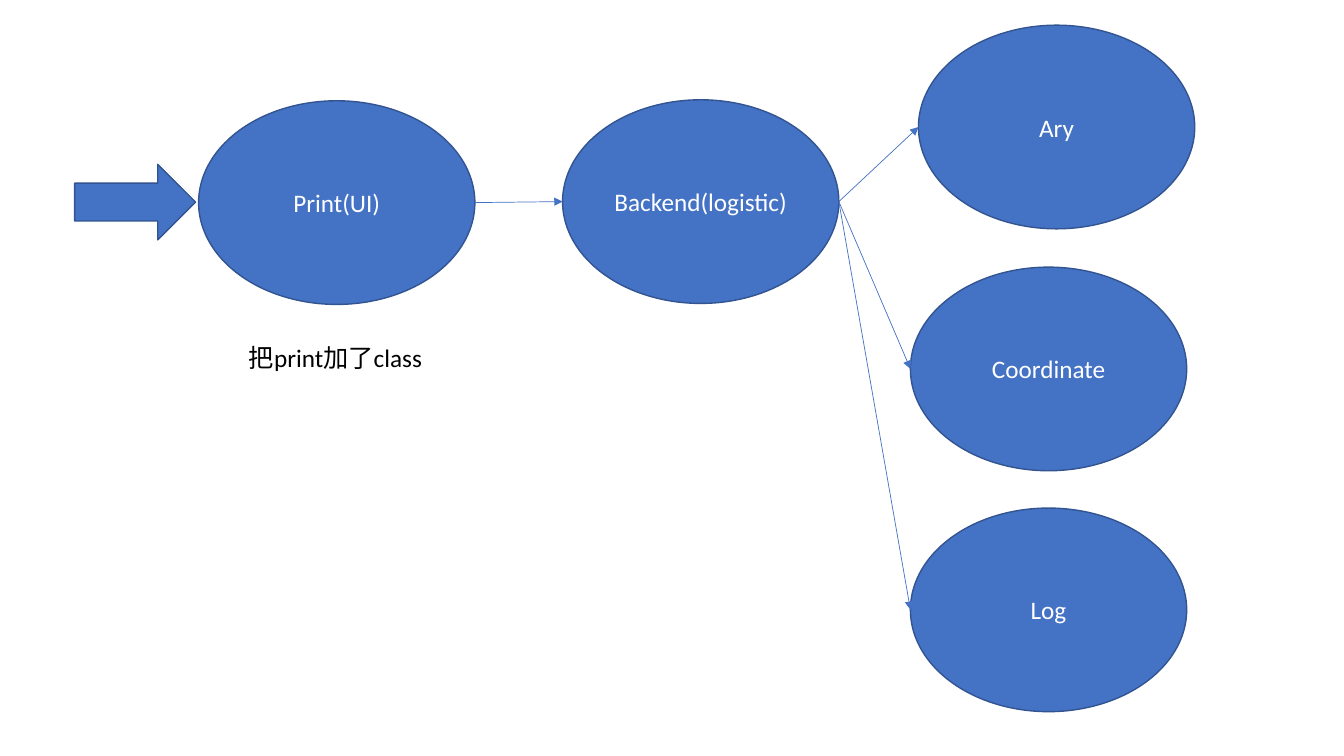
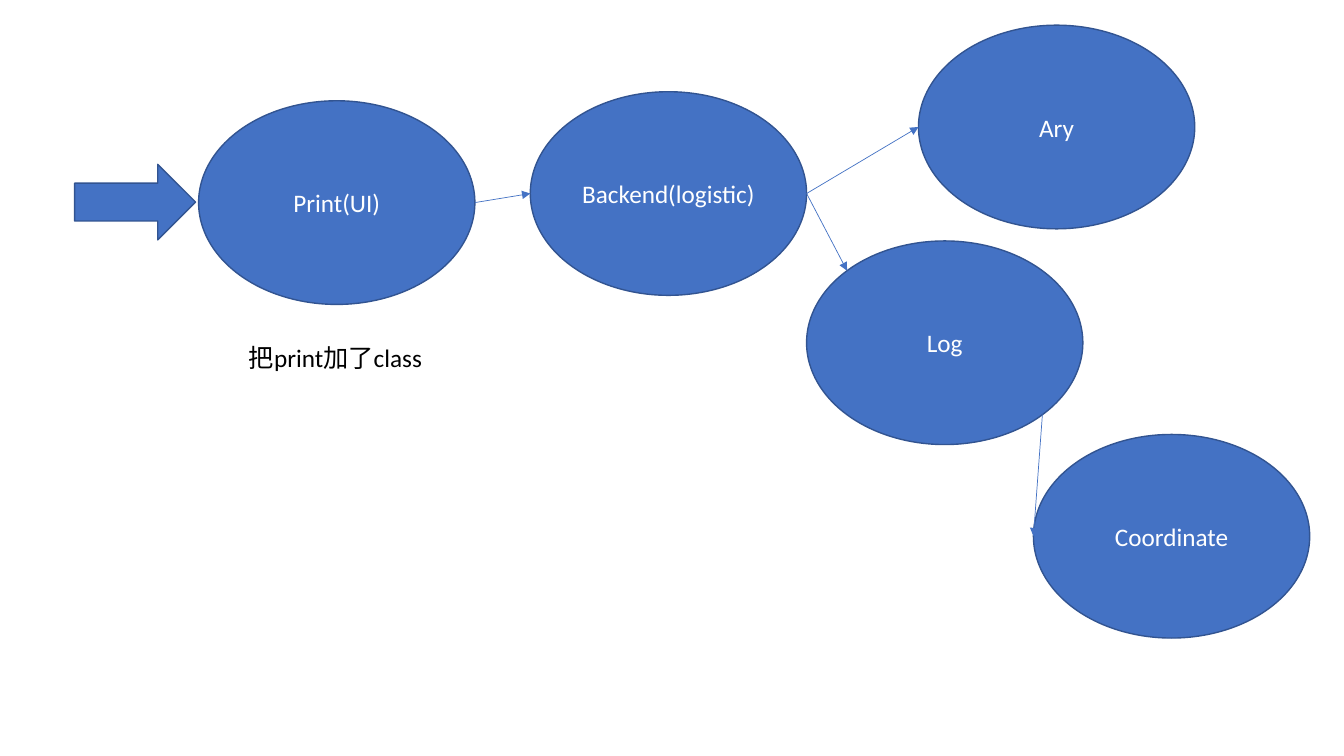
from math import sqrt

from pptx import Presentation
from pptx.dml.color import RGBColor
from pptx.enum.shapes import MSO_CONNECTOR, MSO_SHAPE
from pptx.enum.text import MSO_ANCHOR, MSO_AUTO_SIZE, PP_ALIGN
from pptx.oxml.ns import qn
from pptx.util import Inches, Pt
from lxml.etree import SubElement

BLUE = RGBColor(0x44, 0x72, 0xC4)
OUTLINE = RGBColor(0x32, 0x54, 0x91)
WHITE = RGBColor(0xFF, 0xFF, 0xFF)
BLACK = RGBColor(0x00, 0x00, 0x00)
FONT, SIZE = "Calibri", Pt(18)
NODE_W, NODE_H = 2.74, 2.02

# Content shared by the slides
NOTE = "把print加了class"
SHARED_NODES = {"Print(UI)": (1.97, 1), "Ary": (9.11, 0.25)}
SHARED_LINKS = [
    ("Print(UI)", "right", "Backend(logistic)", "left"),
    ("Backend(logistic)", "right", "Ary", "left"),
]

# Content of each slide: nodes (left, top) and links (node, side, node, side)
SLIDES = [
    {
        "nodes": {
            "Backend(logistic)": (5.58, 0.99),
            "Coordinate": (9.03, 2.65),
            "Log": (9.03, 5.04),
        },
        "links": [
            ("Backend(logistic)", "right", "Coordinate", "left"),
            ("Backend(logistic)", "right", "Log", "left"),
        ],
    },
    {
        "nodes": {
            "Backend(logistic)": (5.26, 0.91),
            "Coordinate": (10.25, 4.31),
            "Log": (8, 2.39),
        },
        "links": [
            ("Log", "bottom right", "Coordinate", "left"),
            ("Backend(logistic)", "right", "Log", "top left"),
        ],
    },
]

# Points on an ellipse, in half-widths and half-heights from its centre
DIAGONAL = 1 / sqrt(2)
SIDES = {
    "left": (-1, 0),
    "right": (1, 0),
    "top left": (-DIAGONAL, -DIAGONAL),
    "bottom right": (DIAGONAL, DIAGONAL),
}


def add_text(tf, text, color):
    tf.word_wrap = True
    p = tf.paragraphs[0]
    p.text = text
    p.font.name, p.font.size, p.font.color.rgb = FONT, SIZE, color
    return p


def add_block(s, kind, left, top, width, height):
    sp = s.shapes.add_shape(
        kind, Inches(left), Inches(top), Inches(width), Inches(height))
    sp.shadow.inherit = False
    sp.fill.solid()
    sp.fill.fore_color.rgb = BLUE
    sp.line.color.rgb = OUTLINE
    sp.line.width = Pt(1)
    return sp


def add_node(s, text, left, top):
    sp = add_block(s, MSO_SHAPE.OVAL, left, top, NODE_W, NODE_H)
    tf = sp.text_frame
    tf.vertical_anchor = MSO_ANCHOR.MIDDLE
    add_text(tf, text, WHITE).alignment = PP_ALIGN.CENTER


def edge_point(corner, side):
    dx, dy = SIDES[side]
    left, top = corner
    return (Inches(left + NODE_W / 2 * (1 + dx)),
            Inches(top + NODE_H / 2 * (1 + dy)))


def add_link(s, start, end):
    cxn = s.shapes.add_connector(MSO_CONNECTOR.STRAIGHT, *start, *end)
    cxn.line.color.rgb = BLUE
    cxn.line.width = Pt(0.5)
    SubElement(cxn.line._get_or_add_ln(), qn("a:tailEnd"), type="triangle")
    SubElement(cxn._element.spPr, qn("a:effectLst"))


def add_note(s):
    box = s.shapes.add_textbox(
        Inches(2.37), Inches(3.35), Inches(1.94), Inches(0.4))
    add_text(box.text_frame, NOTE, BLACK)
    box.text_frame.auto_size = MSO_AUTO_SIZE.SHAPE_TO_FIT_TEXT


def build_slide(prs, content):
    s = prs.slides.add_slide(prs.slide_layouts[6])
    nodes = {**SHARED_NODES, **content["nodes"]}
    add_block(s, MSO_SHAPE.RIGHT_ARROW, 0.74, 1.63, 1.2, 0.75)
    add_note(s)
    for text, corner in nodes.items():
        add_node(s, text, *corner)
    for source, out_side, target, in_side in SHARED_LINKS + content["links"]:
        add_link(s, edge_point(nodes[source], out_side),
                 edge_point(nodes[target], in_side))


def main():
    prs = Presentation()
    prs.slide_width, prs.slide_height = Inches(13.33), Inches(7.5)
    for content in SLIDES:
        build_slide(prs, content)
    prs.save("out.pptx")


if __name__ == "__main__":
    main()
